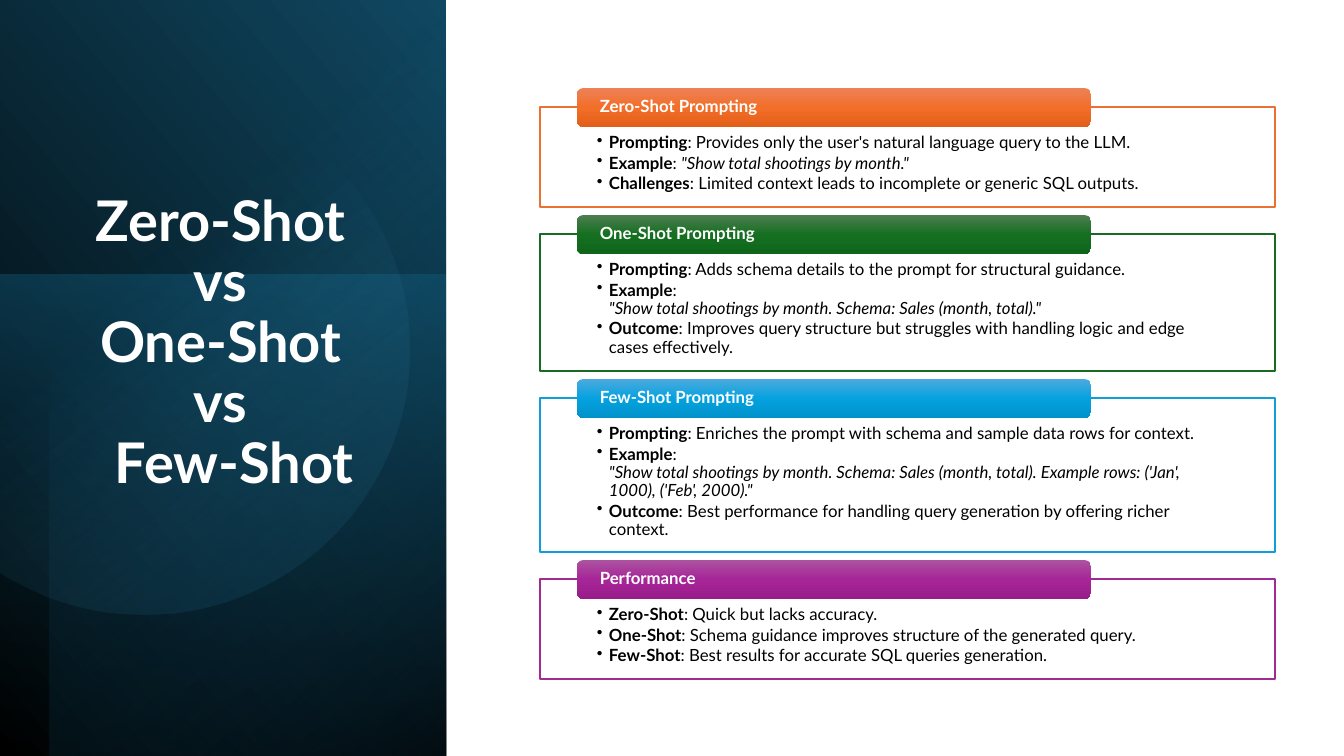
import math
from lxml import etree
from pptx import Presentation
from pptx import util as u
from pptx.dml import color
from pptx.enum import shapes, text
from pptx.oxml import ns

SCALE = 914400 / 100.8
FONT = "Lato"
CARD_X, CARD_W, GAP = 540, 735, 27
TAB_X, TAB_W, TAB_H, TAB_RISE = 577, 514, 39, 19

CARDS = [
    ("Zero-Shot Prompting", 107, 100, "E97132", ("ED8257", "F26E29", "E25F1A"), [
        ("Prompting", ": Provides only the user's natural language query to the LLM."),
        ("Example", ": \"Show total shootings by month.\""),
        ("Challenges", ": Limited context leads to incomplete or generic SQL outputs."),
    ]),
    ("One-Shot Prompting", 234, 137, "196B24", ("4D7E50", "156F21", "0F661B"), [
        ("Prompting", ": Adds schema details to the prompt for structural guidance."),
        ("Example", ":\n\"Show total shootings by month. Schema: Sales (month, total).\""),
        ("Outcome", ": Improves query structure but struggles with handling logic and edge cases effectively."),
    ]),
    ("Few-Shot Prompting", 398, 154, "0F9ED5", ("4CAADF", "05A2DF", "0092CB"), [
        ("Prompting", ": Enriches the prompt with schema and sample data rows for context."),
        ("Example", ":\n\"Show total shootings by month. Schema: Sales (month, total). "
                    "Example rows: ('Jan', 1000), ('Feb', 2000).\""),
        ("Outcome", ": Best performance for handling query generation by offering richer context."),
    ]),
    ("Performance", 579, 100, "A02B93", ("AC53A0", "A62598", "991C8B"), [
        ("Zero-Shot", ": Quick but lacks accuracy."),
        ("One-Shot", ": Schema guidance improves structure of the generated query."),
        ("Few-Shot", ": Best results for accurate SQL queries generation."),
    ]),
]


def px(n):
    return u.Emu(round(n * SCALE))


def rgb(code):
    return color.RGBColor.from_string(code)


def add_box(slide, kind, x, y, w, h):
    box = slide.shapes.add_shape(kind, px(x), px(y), px(w), px(h))
    box.shadow.inherit = False
    box.line.fill.background()
    return box


def fade(shape, angle, stops):
    shape.fill.gradient()
    grad = shape._element.spPr.find(ns.qn("a:gradFill"))
    grad.clear()
    grad.set("rotWithShape", "1")
    row = etree.SubElement(grad, ns.qn("a:gsLst"))
    for pos, code, alpha in stops:
        stop = etree.SubElement(row, ns.qn("a:gs"), pos=str(pos * 1000))
        tone = etree.SubElement(stop, ns.qn("a:srgbClr"), val=code)
        if alpha < 100:
            etree.SubElement(tone, ns.qn("a:alpha"), val=str(alpha * 1000))
    etree.SubElement(grad, ns.qn("a:lin"), ang=str(angle * 60000), scaled="0")


def add_panel(slide, x, y, w, h, angle, stops):
    fade(add_box(slide, shapes.MSO_SHAPE.RECTANGLE, x, y, w, h), angle, stops)


def add_disc(slide, x, y, r):
    half = math.acos(-x / r)
    turns = [half * (i / 60 - 1) for i in range(121)]
    points = [(px(x + r * math.cos(t)), px(y + r * math.sin(t))) for t in turns]
    build = slide.shapes.build_freeform(*points[0], scale=1.0)
    build.add_line_segments(points[1:], close=True)
    disc = build.convert_to_shape()
    disc.shadow.inherit = False
    disc.line.fill.background()
    fade(disc, 52, [(39, "46B1E1", 0), (100, "104862", 26)])


def set_frame(shape, left, top, right, bottom, anchor):
    frame = shape.text_frame
    frame.word_wrap = True
    frame.margin_left, frame.margin_top = px(left), px(top)
    frame.margin_right, frame.margin_bottom = px(right), px(bottom)
    frame.vertical_anchor = anchor
    return frame


def style(para, size, code, align):
    para.alignment = align
    para.line_spacing = 0.9
    font = para.font
    font.name, font.size = FONT, u.Pt(size)
    font.color.rgb = rgb(code)


def add_title(slide):
    title = slide.shapes.title
    slide.shapes._spTree.append(title._element)
    title.left, title.top, title.width, title.height = px(69), px(188), px(317), px(339)
    frame = set_frame(title, 10, 5, 10, 5, text.MSO_ANCHOR.TOP)
    frame.auto_size = text.MSO_AUTO_SIZE.NONE
    para = frame.paragraphs[0]
    para.text = "Zero-Shot \vvs \vOne-Shot \vvs \v Few-Shot"
    style(para, 40, "FFFFFF", text.PP_ALIGN.CENTER)
    para.font.bold = True


def add_item(para, label, body):
    style(para, 12, "000000", text.PP_ALIGN.LEFT)
    para.space_after = u.Pt(1.8)
    props = para._p.get_or_add_pPr()
    props.set("marL", str(px(12)))
    props.set("indent", str(-px(12)))
    bullet = etree.Element(ns.qn("a:buChar"), char="•")
    props.find(ns.qn("a:defRPr")).addprevious(bullet)
    head = para.add_run()
    head.text = label
    head.font.bold = True
    plain, mark, quote = body.partition('"')
    para.add_run().text = plain.rstrip("\n")
    if plain.endswith("\n"):
        para.add_line_break()
    if mark:
        said = para.add_run()
        said.text = mark + quote
        said.font.italic = True


def add_card(slide, name, top, height, edge, tones, items):
    card = add_box(slide, shapes.MSO_SHAPE.RECTANGLE, CARD_X, top, CARD_W, height)
    card.fill.solid()
    card.fill.fore_color.rgb = rgb("FFFFFF")
    card.line.color.rgb = rgb(edge)
    card.line.width = u.Pt(1)
    frame = set_frame(card, 57, 27, 57, 9, text.MSO_ANCHOR.TOP)
    for i, item in enumerate(items):
        para = frame.add_paragraph() if i else frame.paragraphs[0]
        add_item(para, *item)

    tab = add_box(slide, shapes.MSO_SHAPE.ROUNDED_RECTANGLE, TAB_X, top - TAB_RISE, TAB_W, TAB_H)
    fade(tab, 90, [(50 * i, tone, 100) for i, tone in enumerate(tones)])
    para = set_frame(tab, 21, 0, 21, 0, text.MSO_ANCHOR.MIDDLE).paragraphs[0]
    para.text = name
    style(para, 12, "FFFFFF", text.PP_ALIGN.LEFT)
    para.font.bold = True


def main():
    deck = Presentation()
    deck.slide_width, deck.slide_height = px(1344), px(756)
    slide = deck.slides.add_slide(deck.slide_layouts[5])
    add_panel(slide, 0, 0, 446, 756, 320, [(0, "000000", 100), (100, "104862", 100)])
    add_panel(slide, 0, 275, 446, 481, 100, [(0, "156082", 50), (100, "0B3041", 0)])
    add_panel(slide, 50, 0, 396, 756, 230, [(0, "000000", 59), (69, "156082", 0)])
    add_disc(slide, 144, 350, 265)
    add_title(slide)
    for card in CARDS:
        add_card(slide, *card)
    deck.save("out.pptx")


if __name__ == "__main__":
    main()
